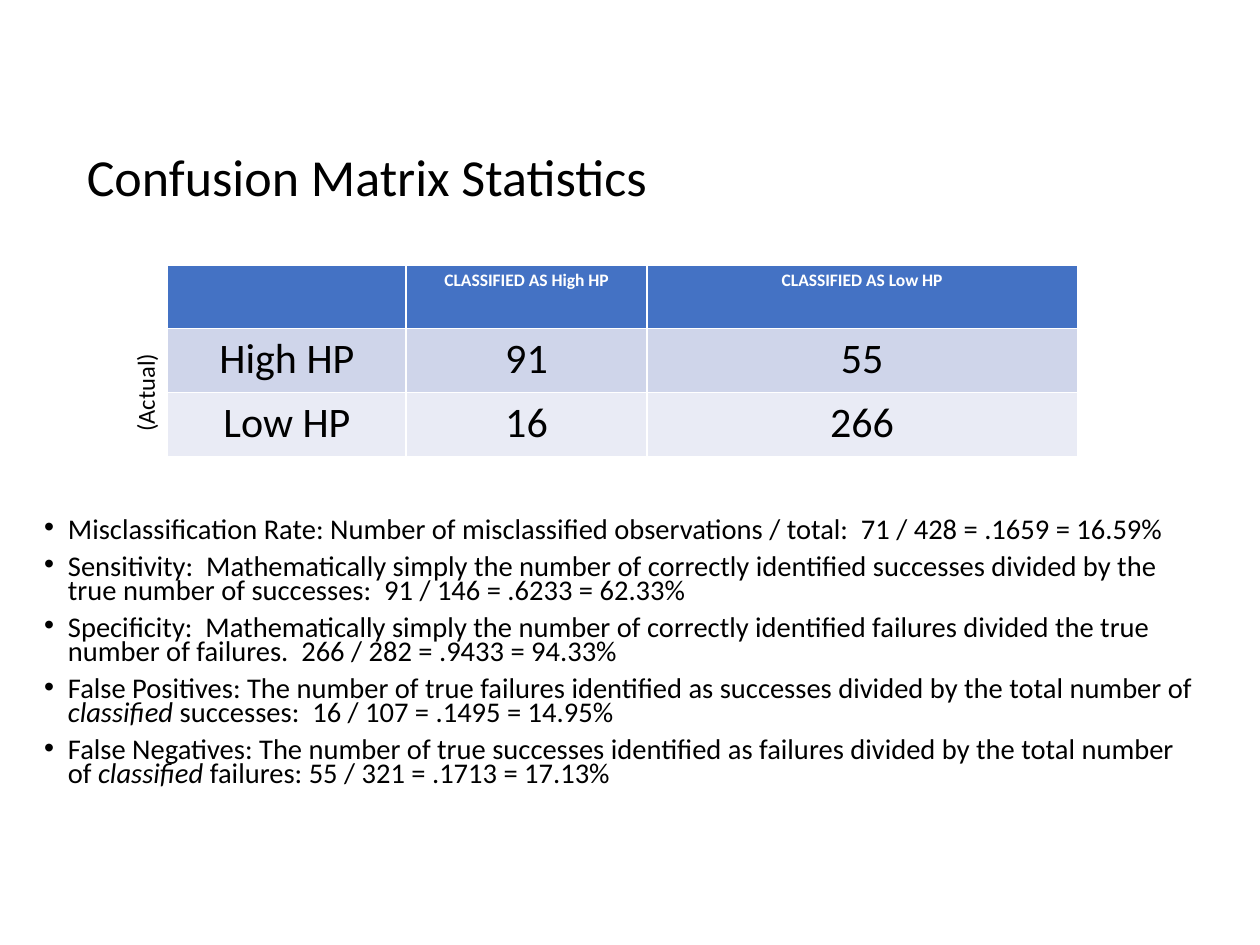
"""Build a slide with a confusion matrix and the statistics derived from it."""
from lxml import etree
from pptx import Presentation
from pptx.dml.color import RGBColor
from pptx.enum.text import MSO_ANCHOR, MSO_AUTO_SIZE, PP_ALIGN
from pptx.oxml.ns import qn
from pptx.util import Cm, Pt

CENTER = PP_ALIGN.CENTER
MIDDLE = MSO_ANCHOR.MIDDLE
GROW = MSO_AUTO_SIZE.SHAPE_TO_FIT_TEXT
BLACK, WHITE = "000000", "FFFFFF"
ROW_FILLS = ["4472C4", "CFD5EA", "E9EBF5"]
MATRIX = [
    ["", "CLASSIFIED AS High HP", "CLASSIFIED AS Low HP"],
    ["High HP", "91", "55"],
    ["Low HP", "16", "266"],
]
STATISTICS = [
    ["Misclassification Rate: Number of misclassified observations / total:  71 / 428 = .1659 = 16.59%"],
    ["Sensitivity:  Mathematically simply the number of correctly identified successes divided by the "
     "true number of successes:  91 / 146 = .6233 = 62.33%"],
    ["Specificity:  Mathematically simply the number of correctly identified failures divided the true "
     "number of failures.  266 / 282 = .9433 = 94.33%"],
    ["False Positives: The number of true failures identified as successes divided by the total number of ",
     "classified", " successes:  16 / 107 = .1495 = 14.95%"],
    ["False Negatives: The number of true successes identified as failures divided by the total number of ",
     "classified", " failures: 55 / 321 = .1713 = 17.13%"],
]


def color(value):
    return RGBColor.from_string(value)


def set_font(para, size, value=BLACK, bold=False):
    para.font.name = "Calibri"
    para.font.size = Pt(size)
    para.font.bold = bold
    para.font.color.rgb = color(value)


deck = Presentation()
deck.slide_width, deck.slide_height = Cm(25.4), Cm(19.05)
page = deck.slides.add_slide(deck.slide_layouts[6])

title = page.shapes.add_textbox(Cm(1.5), Cm(3.07), Cm(17.15), Cm(1.12)).text_frame
title.word_wrap = True
title.vertical_anchor = MIDDLE
title.text = "Confusion Matrix Statistics"
title.paragraphs[0].line_spacing = 0.9
set_font(title.paragraphs[0], 29.7)

matrix = page.shapes.add_table(3, 3, Cm(3.38), Cm(5.34), Cm(18.34), Cm(3.86)).table
for column, width in zip(matrix.columns, [4.81, 4.85, 8.68]):
    column.width = Cm(width)
for row_index, (labels, fill) in enumerate(zip(MATRIX, ROW_FILLS)):
    header = row_index == 0
    for column_index, label in enumerate(labels):
        cell = matrix.cell(row_index, column_index)
        cell.fill.solid()
        cell.fill.fore_color.rgb = color(fill)
        cell.margin_left = cell.margin_right = Cm(0.18)
        cell.margin_top = cell.margin_bottom = Cm(0.1)
        cell.text = label
        para = cell.text_frame.paragraphs[0]
        para.alignment = CENTER
        set_font(para, 10 if header else 24, WHITE if header else BLACK, header)

body = page.shapes.add_textbox(Cm(0.64), Cm(10.36), Cm(23.83), Cm(5.77)).text_frame
body.word_wrap = True
for index, parts in enumerate(STATISTICS):
    para = body.add_paragraph() if index else body.paragraphs[0]
    para.line_spacing = 0.7
    para.space_before = Pt(7.5)
    set_font(para, 16.3)
    for part in parts:
        span = para.add_run()
        span.text = part
        if part == "classified":
            span.font.italic = True
    properties = para._p.get_or_add_pPr()
    properties.set("marL", str(Cm(0.48)))
    properties.set("indent", str(-Cm(0.48)))
    bullet_font = etree.Element(qn("a:buFont"), typeface="Arial")
    bullet = etree.Element(qn("a:buChar"), char="•")
    properties.find(qn("a:spcBef")).addnext(bullet_font)
    bullet_font.addnext(bullet)

actual_box = page.shapes.add_textbox(Cm(1.88), Cm(7.47), Cm(2.11), Cm(0.86))
actual_box.rotation = 270
actual = actual_box.text_frame
actual.word_wrap = False
actual.auto_size = GROW
actual.text = "(Actual)"
set_font(actual.paragraphs[0], 14)

deck.save("out.pptx")
